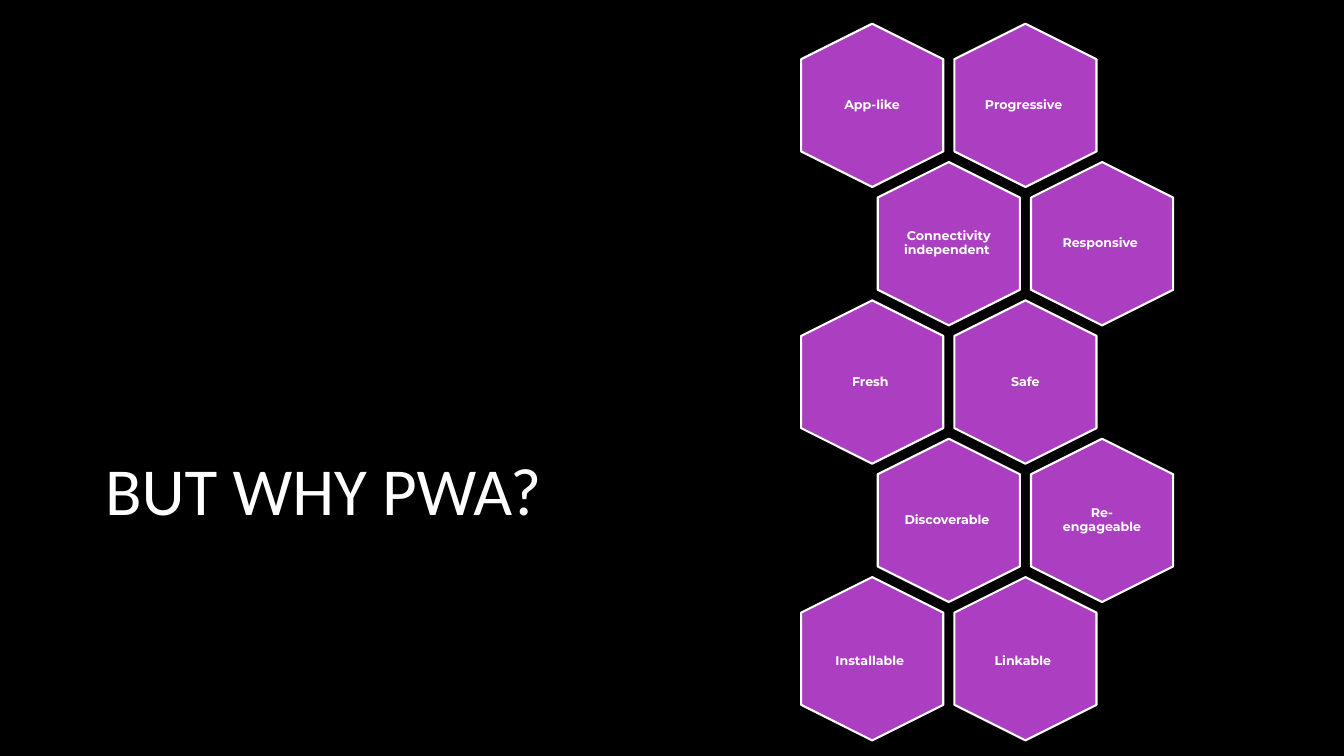
from pptx import Presentation
from pptx.dml.color import RGBColor
from pptx.enum import shapes, text
from pptx.util import Inches, Pt

NBSP = chr(160)
WHITE, PURPLE, BLACK = "FFFFFF", "AC3EC1", "000000"

# One entry per row; each reason is (label, size of its trailing space or None)
REASONS = [
    [("App-like", None), ("Progressive", 9)],
    [("Connectivity independent", 9), ("Responsive", 9)],
    [("Fresh", 9), ("Safe", None)],
    [("Discoverable", 9), ("Re-engageable", None)],
    [("Installable", 15), ("Linkable", 16)],
]


def color(value):
    return RGBColor.from_string(value)


def add_text(parent, box, anchor, align, inset=None):
    """Add a wrapping text box and return its only paragraph."""
    tf = parent.add_textbox(*map(Inches, box)).text_frame
    tf.word_wrap = True
    tf.vertical_anchor = anchor
    if inset is not None:
        tf.margin_left = tf.margin_right = Inches(inset)
        tf.margin_top = tf.margin_bottom = Inches(inset)
    p = tf.paragraphs[0]
    p.alignment = align
    p.font.color.rgb = color(WHITE)
    return p


def add_title(slide, box):
    p = add_text(slide.shapes, box, text.MSO_ANCHOR.BOTTOM, text.PP_ALIGN.RIGHT)
    p.font.name, p.font.size = "Calibri", Pt(48)
    p.add_run().text = "BUT WHY PWA?"


def add_hexagon(parent, left, top, label, tail_size, inset):
    # Hexagon standing on its point
    sp = parent.add_shape(shapes.MSO_SHAPE.HEXAGON, Inches(left), Inches(top),
                          Inches(1.62), Inches(1.41))
    sp.rotation = 90
    sp.adjustments[0] = 0.25
    sp.adjustments[1] = 1.1547
    sp.shadow.inherit = False
    sp.fill.solid()
    sp.fill.fore_color.rgb = color(PURPLE)
    sp.line.color.rgb = color(WHITE)
    sp.line.width = Pt(1.5)

    # Label in the middle
    p = add_text(parent, (left + 0.325, top + 0.15, 0.97, 1.11),
                 text.MSO_ANCHOR.MIDDLE, text.PP_ALIGN.CENTER, inset)
    p.line_spacing = 0.9
    p.font.name, p.font.size, p.font.bold = "Montserrat", Pt(9), True
    p.add_run().text = label + (NBSP if tail_size == 9 else "")
    if tail_size and tail_size != 9:
        r = p.add_run()
        r.text = NBSP
        r.font.name, r.font.size, r.font.bold = "Calibri", Pt(tail_size), False


def add_honeycomb(slide, left, top, pitch_x=1.52, pitch_y=1.3725):
    """Stack the rows, shifting every second one by half a cell."""
    group = slide.shapes.add_group_shape()
    for row, reasons in enumerate(REASONS):
        for col, (label, tail_size) in enumerate(reasons):
            add_hexagon(group.shapes, left + (col + row % 2 / 2) * pitch_x,
                        top + row * pitch_y, label, tail_size,
                        0.04 * ((row + col) % 2))


def main():
    prs = Presentation()
    prs.slide_width, prs.slide_height = Inches(13.33), Inches(7.5)
    slide = prs.slides.add_slide(prs.slide_layouts[6])
    slide.background.fill.solid()
    slide.background.fill.fore_color.rgb = color(BLACK)
    add_honeycomb(slide, 7.84, 0.34)
    add_title(slide, (0.53, 2.22, 4.94, 3.08))
    prs.save("out.pptx")


if __name__ == "__main__":
    main()
